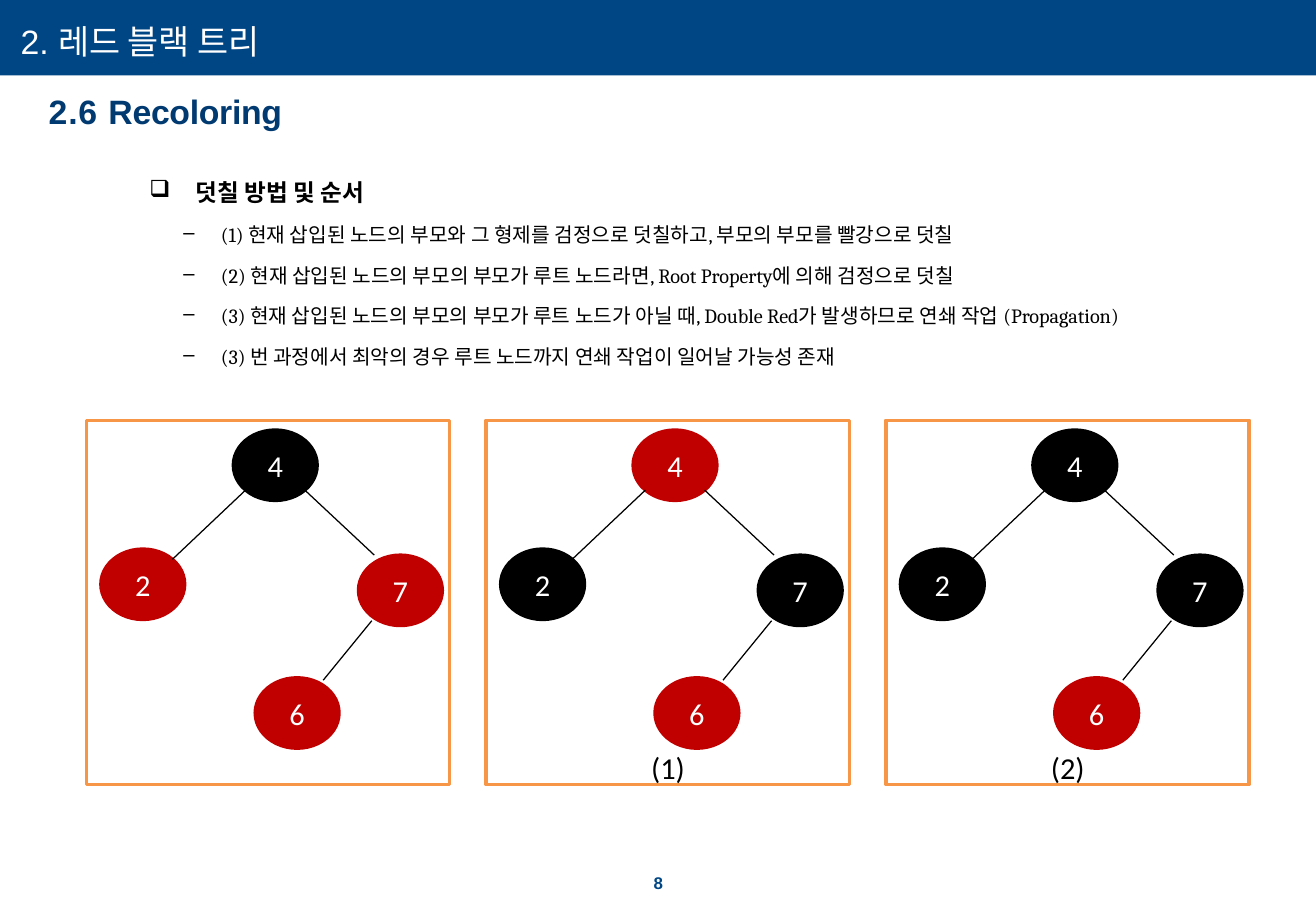
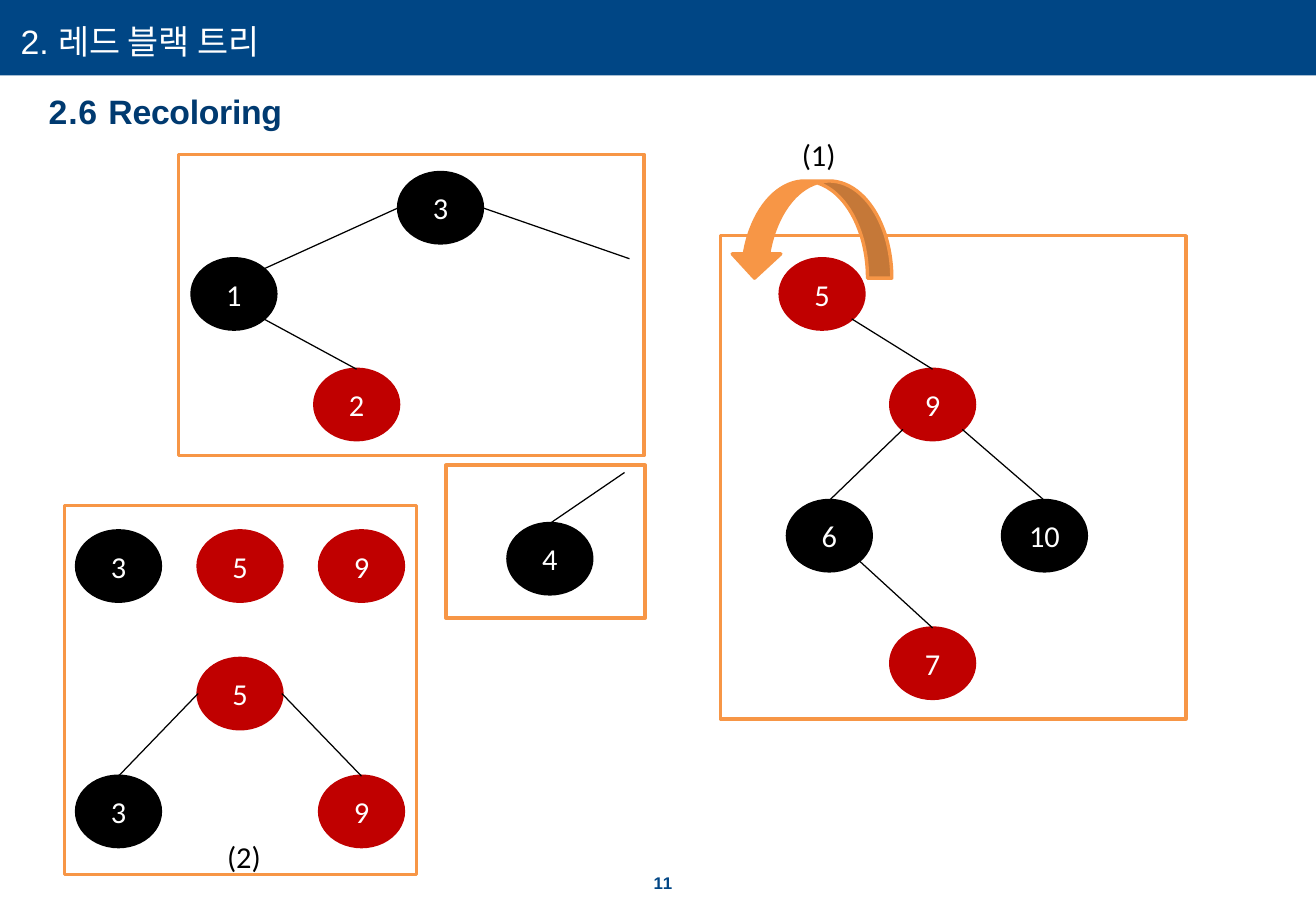
import math
from lxml import etree
from pptx import Presentation
from pptx import util as u
from pptx.dml.color import RGBColor
from pptx.enum import shapes, text
from pptx.oxml.ns import qn

PX = 9144  # 100 px to the inch
WIDE, HIGH = 1083, 750
NODE_W, NODE_H = 69, 58

BLUE = RGBColor(0x00, 0x46, 0x85)
NAVY = RGBColor(0x00, 0x3A, 0x70)
BLACK = RGBColor(0x00, 0x00, 0x00)
RED = RGBColor(0xC0, 0x00, 0x00)
ORANGE = RGBColor(0xF7, 0x96, 0x46)
WHITE = RGBColor(0xFF, 0xFF, 0xFF)

HEAD = dict(name="Arial", size=u.Pt(20), color=WHITE)
SUB = dict(name="Arial", size=u.Pt(20), color=NAVY, bold=True)
PAGE = dict(name="Arial", size=u.Pt(10), color=BLUE, bold=True)
LABEL = dict(name="Calibri", size=u.Pt(18), color=WHITE)
NOTE = dict(LABEL, color=BLACK)
TOPIC = dict(name="Cambria", size=u.Pt(14), color=BLACK, bold=True)
ITEM = dict(TOPIC, size=u.Pt(12), bold=False)

TITLE = "2. 레드 블랙 트리"
SECTION = [("2.6 ", 50), ("Recoloring", -20)]
TOPICS = [
    (0, "덧칠 방법 및 순서"),
    (1, "(1) 현재 삽입된 노드의 부모와 그 형제를 검정으로 덧칠하고, 부모의 부모를 빨강으로 덧칠"),
    (1, "(2) 현재 삽입된 노드의 부모의 부모가 루트 노드라면, Root Property에 의해 검정으로 덧칠"),
    (1, "(3) 현재 삽입된 노드의 부모의 부모가 루트 노드가 아닐 때, Double Red가 발생하므로 연쇄 작업 (Propagation)"),
    (1, "(3) 번 과정에서 최악의 경우 루트 노드까지 연쇄 작업이 일어날 가능성 존재"),
]
# level: bullet, left margin, indent, format
LEVELS = [("❑", 38, -38, TOPIC), ("–", 59, -31, ITEM)]

# Steps of the recolouring: caption and the colours of 4, 2, 7, 6
STEPS = [
    (None, (BLACK, RED, RED, RED)),
    ("(1)", (RED, BLACK, BLACK, RED)),
    ("(2)", (BLACK, BLACK, BLACK, RED)),
]
STEP_X, STEP_Y, STEP_GAP = 71, 346, 329
SPOTS = {"4": (121, 8), "2": (12, 106), "7": (224, 111), "6": (139, 212)}
# An edge end is (node, compass side) or a point (x, y)
STEP_EDGES = [
    (("4", "sw"), ("2", "ne")),
    (("4", "se"), (237, 111)),
    ((235, 165), (195, 214)),
]

ROW_X, ROW_GAP = 63, 100
FORESTS = [
    dict(frame=(147, 127, 383, 248),
         nodes={"3": (328, 142, BLACK), "1": (158, 213, BLACK), "2": (259, 304, RED)},
         edges=[(("3", "w"), ("1", "ne")), (("3", "e"), (518, 213)),
                (("2", "n"), ("1", "se"))]),
    dict(frame=(367, 383, 164, 126),
         nodes={"4": (418, 431, BLACK)},
         edges=[((514, 389), ("4", "n"))]),
    dict(frame=(593, 194, 383, 398),
         nodes={"5": (642, 213, RED), "9": (733, 304, RED), "6": (648, 412, BLACK),
                "10": (825, 412, BLACK), "7": (733, 517, RED)},
         edges=[(("5", "se"), ("9", "n")), (("9", "sw"), ("6", "n")),
                (("9", "se"), ("10", "n")), (("6", "se"), ("7", "n"))],
         note=("(1)", 650, 107)),
    dict(nodes={name: (ROW_X + i * ROW_GAP, 437, tone)
                for i, (name, tone) in enumerate([("3", BLACK), ("5", RED), ("9", RED)])}),
    dict(frame=(53, 416, 290, 304),
         nodes={"5": (ROW_X + ROW_GAP, 542, RED), "3": (ROW_X, 639, BLACK),
                "9": (ROW_X + 2 * ROW_GAP, 639, RED)},
         edges=[(("3", "n"), ("5", "w")), (("9", "n"), ("5", "e"))],
         note=("(2)", 177, 685)),
]
ARROW = (601, 149, 133, 80)
SIDES = {"e": 0, "se": 45, "sw": 135, "w": 180, "n": 270, "ne": 315}


def emu(*sizes):
    return [round(v * PX) for v in sizes]


def style(run, fmt, gap=None):
    for key, val in fmt.items():
        if key == "color":
            run.font.color.rgb = val
        else:
            setattr(run.font, key, val)
    if gap is not None:
        run._r.get_or_add_rPr().set("spc", str(gap))


def write(slide, box, runs, fmt, left=0, inset=True, wrap=True):
    """Add a one-paragraph text box; runs are (text, letter spacing) pairs."""
    frame = slide.shapes.add_textbox(*emu(*box)).text_frame
    frame.word_wrap = wrap
    frame.auto_size = text.MSO_AUTO_SIZE.SHAPE_TO_FIT_TEXT
    if not inset:
        for side in ("left", "top", "right", "bottom"):
            setattr(frame, "margin_" + side, 0)
    para = frame.paragraphs[0]
    if left:
        para._p.get_or_add_pPr().set("marL", str(left * PX))
    for words, gap in runs:
        run = para.add_run()
        run.text = words
        style(run, fmt, gap)
    return para


def draw(slide, kind, box, fill=None, line=None):
    shape = slide.shapes.add_shape(kind, *emu(*box))
    shape.shadow.inherit = False
    for part, tone in ((shape.fill, fill), (shape.line.fill, line)):
        if tone is None:
            part.background()
        else:
            part.solid()
            part.fore_color.rgb = tone
    if line is not None:
        shape.line.width = u.Pt(2)
    return shape


def place(end, nodes):
    """Turn an edge end into a point."""
    if end[0] not in nodes:
        return end
    x, y, _ = nodes[end[0]]
    turn = math.radians(SIDES[end[1]])
    return (x + NODE_W / 2 * (1 + math.cos(turn)),
            y + NODE_H / 2 * (1 + math.sin(turn)))


def plant(slide, nodes, edges=(), frame=None, note=None):
    """Draw one tree with its frame and caption."""
    if frame:
        draw(slide, shapes.MSO_SHAPE.RECTANGLE, frame, line=ORANGE)
    for name, (x, y, tone) in nodes.items():
        node = draw(slide, shapes.MSO_SHAPE.OVAL, (x, y, NODE_W, NODE_H), tone, tone)
        node.text_frame.vertical_anchor = text.MSO_ANCHOR.MIDDLE
        para = node.text_frame.paragraphs[0]
        para.alignment = text.PP_ALIGN.CENTER
        run = para.add_run()
        run.text = name
        style(run, LABEL)
    for start, stop in edges:
        ends = emu(*place(start, nodes), *place(stop, nodes))
        edge = slide.shapes.add_connector(shapes.MSO_CONNECTOR.STRAIGHT, *ends)
        edge.line.color.rgb = BLACK
        edge.line.width = u.Pt(0.75)
        etree.SubElement(edge._element.spPr, qn("a:effectLst"))
    if note:
        words, x, y = note
        write(slide, (x, y, 48, 40), [(words, None)], NOTE, wrap=False)


def base(deck, page):
    """Add a slide with the band, titles and page number."""
    slide = deck.slides.add_slide(deck.slide_layouts[6])
    draw(slide, shapes.MSO_SHAPE.RECTANGLE, (0, 0, WIDE, 62), BLUE)
    write(slide, (16, 17, 537, 34), [(TITLE, None)], HEAD, 1, False)
    write(slide, (39, 75, 661, 34), SECTION, SUB, 1, False)
    foot = write(slide, (531, 720, 26, 15), [(page, 50)], PAGE, 7, False)
    foot.line_spacing = u.Pt(10.9)
    return slide


def outline(slide):
    frame = slide.shapes.add_textbox(*emu(113, 130, 912, 202)).text_frame
    frame.word_wrap = True
    for i, (level, words) in enumerate(TOPICS):
        mark, left, hang, fmt = LEVELS[level]
        para = frame.add_paragraph() if i else frame.paragraphs[0]
        para.level = level
        para.line_spacing = 1.5
        props = para._p.get_or_add_pPr()
        props.set("marL", str(left * PX))
        props.set("indent", str(hang * PX))
        before = etree.SubElement(props, qn("a:spcBef"))
        etree.SubElement(before, qn("a:spcPct")).set("val", "20000")
        etree.SubElement(props, qn("a:buChar")).set("char", mark)
        run = para.add_run()
        run.text = words
        style(run, fmt)


def steps(slide):
    for i, (words, tones) in enumerate(STEPS):
        left = STEP_X + i * STEP_GAP
        nodes = {name: (left + x, STEP_Y + y, tone)
                 for (name, (x, y)), tone in zip(SPOTS.items(), tones)}
        edges = [[end if end[0] in nodes else (left + end[0], STEP_Y + end[1])
                  for end in edge] for edge in STEP_EDGES]
        note = words and (words, left + 126, STEP_Y + 266)
        plant(slide, nodes, edges, (left, STEP_Y, 299, 300), note)


def main():
    deck = Presentation()
    deck.slide_width, deck.slide_height = emu(WIDE, HIGH)

    slide = base(deck, "8")
    outline(slide)
    steps(slide)

    slide = base(deck, "11")
    for forest in FORESTS:
        plant(slide, **forest)
    arrow = draw(slide, shapes.MSO_SHAPE.CURVED_DOWN_ARROW, ARROW, ORANGE, ORANGE)
    arrow._element.spPr.find(qn("a:xfrm")).set("flipH", "1")

    deck.save("out.pptx")


if __name__ == "__main__":
    main()
